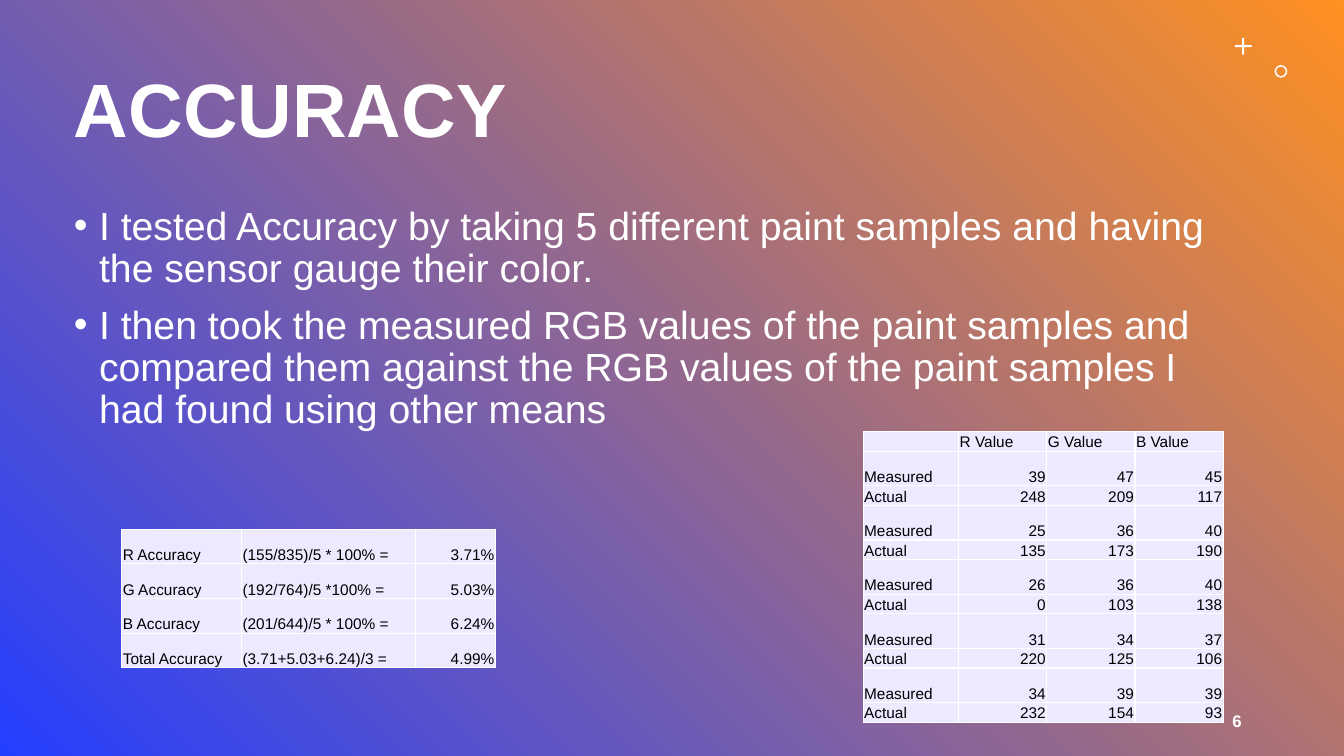
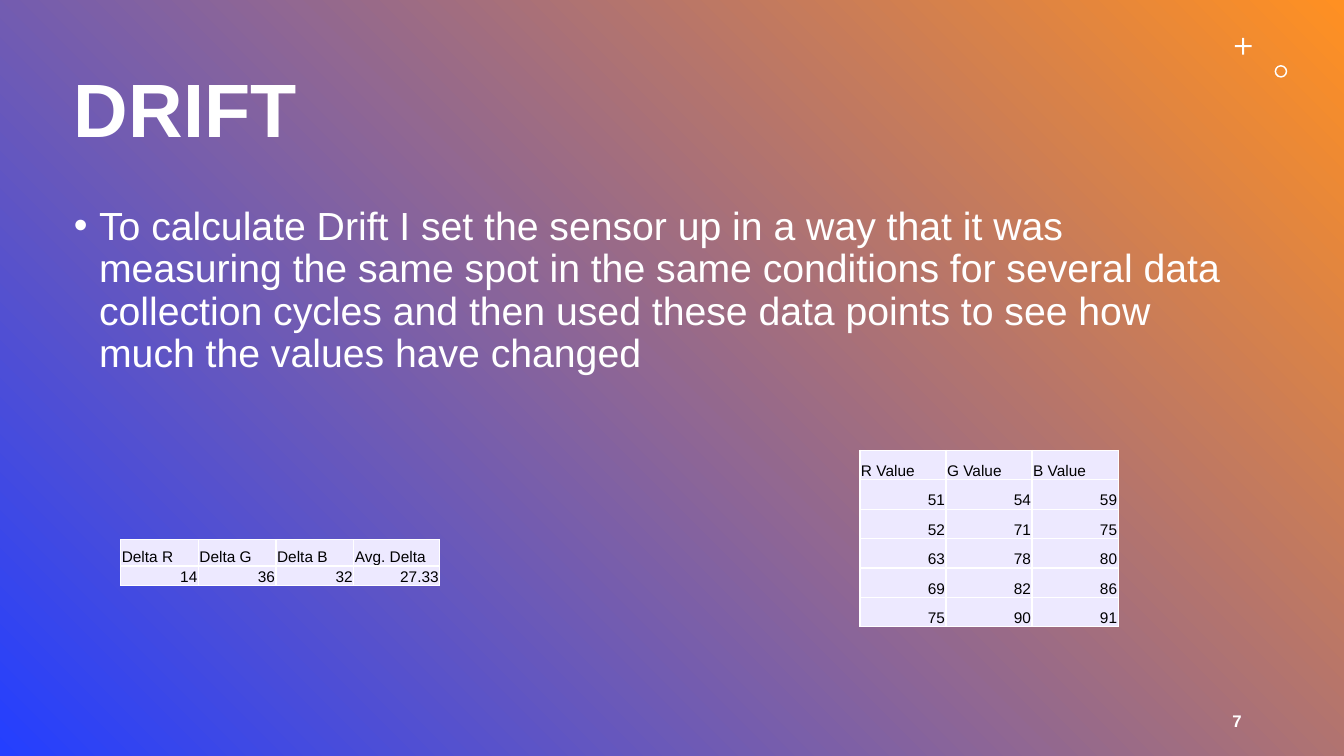
from lxml.etree import SubElement
from pptx import Presentation
from pptx.dml.color import RGBColor
from pptx.enum.shapes import MSO_SHAPE
from pptx.enum.text import MSO_ANCHOR, PP_ALIGN
from pptx.oxml.ns import qn
from pptx.util import Emu, Pt

BLUE = RGBColor(0x24, 0x3F, 0xFF)
ORANGE = RGBColor(0xFF, 0x90, 0x22)
WHITE = RGBColor(0xFF, 0xFF, 0xFF)
BLACK = RGBColor(0, 0, 0)
LAVENDER = RGBColor(0xED, 0xE9, 0xFF)
FONT = "Arial"
CELL_SIZE = 11

SAMPLES = [
    ((39, 47, 45), (248, 209, 117)),
    ((25, 36, 40), (135, 173, 190)),
    ((26, 36, 40), (0, 103, 138)),
    ((31, 34, 37), (220, 125, 106)),
    ((34, 39, 39), (232, 154, 93)),
]
RGB_HEADS = ["R Value", "G Value", "B Value"]


def px(n):
    return Emu(n * 9525)


def set_background(prs):
    fill = prs.slide_master.background.fill
    fill.gradient()
    fill.gradient_angle = 45
    for stop, color, position in zip(fill.gradient_stops, (BLUE, ORANGE), (0, 1)):
        stop.color.rgb = color
        stop.position = position


def add_run(p, text, size, color=WHITE, bold=False):
    r = p.add_run()
    r.text = text
    r.font.name = FONT
    r.font.size = Pt(size)
    r.font.bold = bold
    r.font.color.rgb = color
    return r


def add_text_box(s, x, y, w, h, anchor=MSO_ANCHOR.MIDDLE):
    tf = s.shapes.add_textbox(px(x), px(y), px(w), px(h)).text_frame
    tf.word_wrap = True
    tf.vertical_anchor = anchor
    return tf


def add_ornament(s, kind, x, y, size, adjustment):
    sp = s.shapes.add_shape(kind, px(x), px(y), px(size), px(size))
    sp.adjustments[0] = adjustment
    sp.shadow.inherit = False
    sp.fill.solid()
    sp.fill.fore_color.rgb = WHITE
    sp.line.fill.background()


def add_title(s, text):
    p = add_text_box(s, 61, 38, 1131, 139).paragraphs[0]
    p.line_spacing = 0.9
    add_run(p, text, 54, bold=True)


def add_bullets(s, items):
    tf = add_text_box(s, 61, 192, 1131, 457, MSO_ANCHOR.TOP)
    for i, text in enumerate(items):
        p = tf.add_paragraph() if i else tf.paragraphs[0]
        pPr = p._p.get_or_add_pPr()
        pPr.set("marL", str(px(24)))
        pPr.set("indent", str(px(-24)))
        SubElement(pPr, qn("a:buFont"), typeface=FONT)
        SubElement(pPr, qn("a:buChar"), char="•")
        p.line_spacing = 0.9
        if i:
            p.space_before = Pt(10)
        add_run(p, text, 28)


def add_page_number(s, number):
    p = add_text_box(s, 904, 667, 288, 38).paragraphs[0]
    p.alignment = PP_ALIGN.RIGHT
    r = add_run(p, str(number), 12, bold=True)
    r._r.get_or_add_rPr().set("spc", "100")


def add_slide(prs, title, bullets, number):
    s = prs.slides.add_slide(prs.slide_layouts[6])
    add_ornament(s, MSO_SHAPE.CROSS, 1176, 36, 16, 0.44)
    add_ornament(s, MSO_SHAPE.DONUT, 1214, 62, 12, 0.12)
    add_title(s, title)
    add_bullets(s, bullets)
    add_page_number(s, number)
    return s


def add_borders(cell):
    tcPr = cell._tc.get_or_add_tcPr()
    for side in ("lnL", "lnR", "lnT", "lnB"):
        ln = SubElement(tcPr, qn(f"a:{side}"), w=str(Pt(1)))
        fill = SubElement(ln, qn("a:solidFill"))
        SubElement(fill, qn("a:srgbClr"), val=str(WHITE))


def fill_cell(cell, text):
    add_borders(cell)
    cell.fill.solid()
    cell.fill.fore_color.rgb = LAVENDER
    cell.vertical_anchor = MSO_ANCHOR.BOTTOM
    cell.margin_left = cell.margin_right = cell.margin_top = px(1)
    cell.margin_bottom = 0
    p = cell.text_frame.paragraphs[0]
    if not text:
        SubElement(p._p, qn("a:endParaRPr"), sz=str(CELL_SIZE * 100))
        return
    if text.rstrip("%").replace(".", "").isdigit():
        p.alignment = PP_ALIGN.RIGHT
    add_run(p, text, CELL_SIZE, BLACK)


def add_data_table(s, x, y, widths, heights, rows):
    frame = s.shapes.add_table(len(rows), len(widths), px(x), px(y),
                               px(sum(widths)), px(sum(heights)))
    table = frame.table
    table.first_row = table.horz_banding = False
    for column, width in zip(table.columns, widths):
        column.width = px(width)
    for i, (height, values) in enumerate(zip(heights, rows)):
        table.rows[i].height = px(height)
        for j, value in enumerate(values):
            fill_cell(table.cell(i, j), str(value))


def add_accuracy_slide(prs):
    s = add_slide(prs, "ACCURACY", [
        "I tested Accuracy by taking 5 different paint samples and having "
        "the sensor gauge their color.",
        "I then took the measured RGB values of the paint samples and compared "
        "them against the RGB values of the paint samples I had found using "
        "other means",
    ], 6)
    rows = [["", *RGB_HEADS]]
    for measured, actual in SAMPLES:
        rows += [["Measured", *measured], ["Actual", *actual]]
    add_data_table(s, 822, 411, [91] + [84] * 3, [18] + [33, 18] * 5, rows)
    add_data_table(s, 116, 504, [114, 166, 76], [33] * 4, [
        ["R Accuracy", "(155/835)/5 * 100% =", "3.71%"],
        ["G Accuracy", "(192/764)/5 *100% =", "5.03%"],
        ["B Accuracy", "(201/644)/5 * 100% =", "6.24%"],
        ["Total Accuracy", "(3.71+5.03+6.24)/3 =", "4.99%"],
    ])


def add_drift_slide(prs):
    s = add_slide(prs, "DRIFT", [
        "To calculate Drift I set the sensor up in a way that it was measuring "
        "the same spot in the same conditions for several data collection "
        "cycles and then used these data points to see how much the values "
        "have changed",
    ], 7)
    add_data_table(s, 115, 514, [74] * 3 + [82], [25, 17], [
        ["Delta R", "Delta G", "Delta B", "Avg. Delta"],
        [14, 36, 32, 27.33],
    ])
    add_data_table(s, 819, 429, [82] * 3, [28] * 6, [
        RGB_HEADS,
        [51, 54, 59],
        [52, 71, 75],
        [63, 78, 80],
        [69, 82, 86],
        [75, 90, 91],
    ])


def main():
    prs = Presentation()
    prs.slide_width, prs.slide_height = px(1280), px(720)
    set_background(prs)
    add_accuracy_slide(prs)
    add_drift_slide(prs)
    prs.save("out.pptx")


if __name__ == "__main__":
    main()
